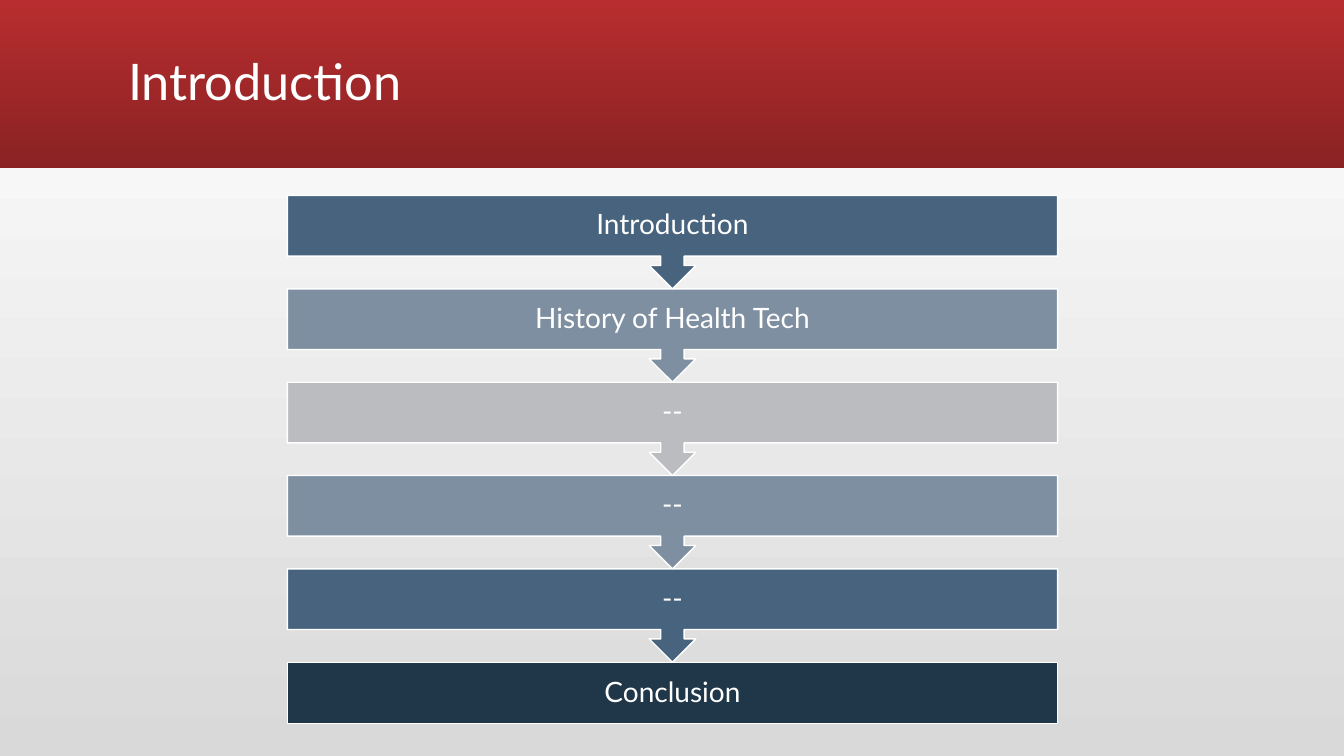
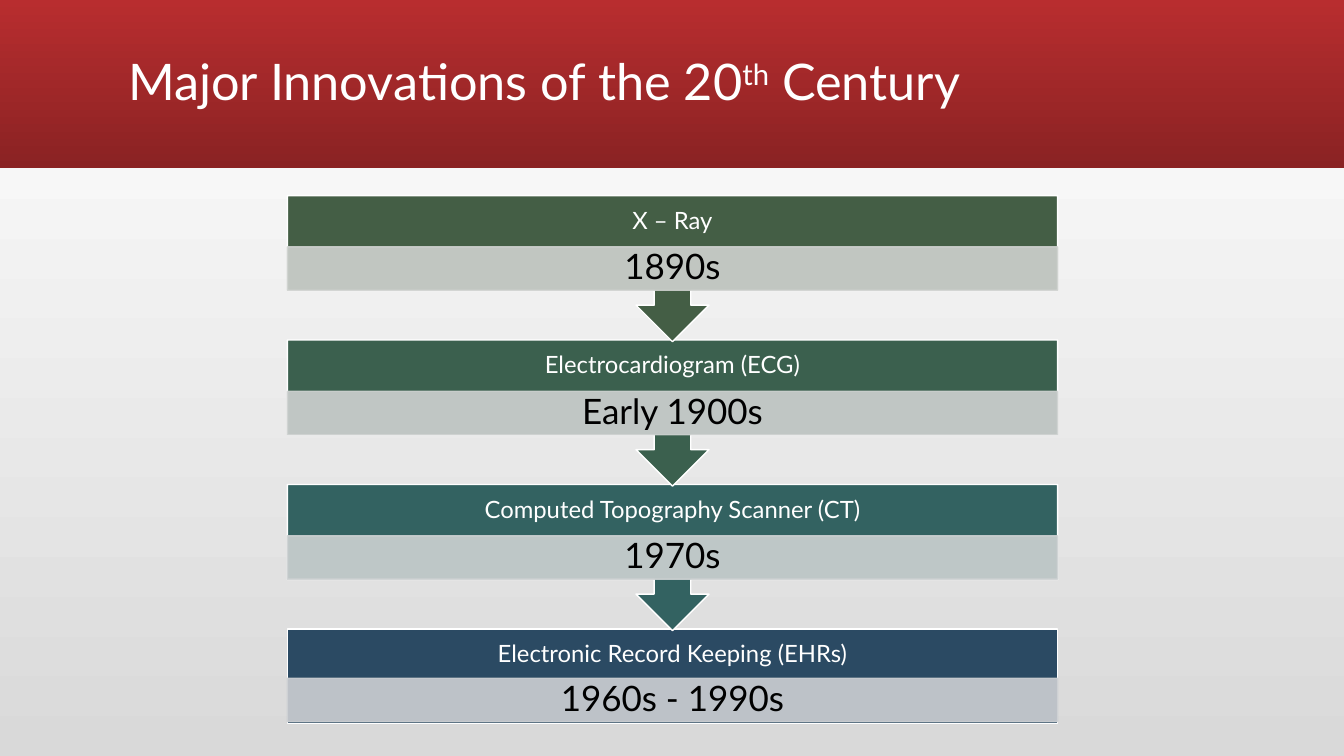
from dataclasses import dataclass

from lxml.etree import SubElement
from pptx import Presentation
from pptx.dml.color import RGBColor
from pptx.enum.shapes import MSO_SHAPE as Preset
from pptx.enum.text import MSO_ANCHOR as Anchor, PP_ALIGN as Align
from pptx.oxml.ns import qn
from pptx.util import Inches, Pt


@dataclass(frozen=True)
class Theme:
    font: str = "Lato"
    light: str = "FFFFFF"
    dark: str = "000000"
    background: tuple = ("D9D9D9", "FFFFFF")
    band: tuple = ("B82D2F", "8A2223")
    navy: str = "203749"
    blue: str = "47637D"
    slate: str = "7E8FA1"
    silver: str = "BABCBF"
    title_size: int = 36
    step_size: int = 20
    invention_size: int = 17
    year_size: int = 25
    strip_alpha: int = 90


theme = Theme()

FLOW_LEFT, FLOW_WIDTH = 2.85, 7.64
FLOW_TOP, FLOW_BOTTOM = 1.94, 7.18
STRIP_HEIGHT = 0.43


def write(shape, runs, size, color, align=Align.CENTER):
    """Fill the first paragraph with (text, is_superscript) runs."""
    paragraph = shape.text_frame.paragraphs[0]
    paragraph.alignment = align
    paragraph.line_spacing = 0.9
    for text, is_superscript in runs:
        run = paragraph.add_run()
        run.text = text
        run.font.name = theme.font
        run.font.size = Pt(size)
        run.font.color.rgb = RGBColor.from_string(color)
        if is_superscript:
            run._r.get_or_add_rPr().set("baseline", "30000")


def add_block(shapes, preset, top, height, fill, line, label, size, color, bottom_inset=0):
    """Add a flow-wide shape carrying one centred label."""
    block = shapes.add_shape(preset, Inches(FLOW_LEFT), Inches(top),
                             Inches(FLOW_WIDTH), Inches(height))
    block.shadow.inherit = False
    block.fill.solid()
    block.fill.fore_color.rgb = RGBColor.from_string(fill)
    block.line.color.rgb = RGBColor.from_string(line)
    block.line.width = Pt(1)
    frame = block.text_frame
    frame.word_wrap = True
    frame.vertical_anchor = Anchor.MIDDLE
    frame.margin_top = 0
    frame.margin_bottom = Inches(bottom_inset)
    write(block, [(label, False)], size, color)
    return block


presentation = Presentation()
presentation.slide_width = Inches(13.33)
presentation.slide_height = Inches(7.5)

# Shared look: background on the master, band and title place on the layout
layout = presentation.slide_layouts.get_by_name("Title Only")
layout_title = layout.placeholders[0]
layout_title.left, layout_title.top = Inches(1.17), Inches(0.11)
layout_title.width, layout_title.height = Inches(11), Inches(1.45)
layout_title.text_frame.vertical_anchor = Anchor.MIDDLE

titles = [
    [("Introduction", False)],
    [("Major Innovations of the 20", False), ("th", True), (" Century", False)],
]
slides = []
for title_runs in titles:
    slide = presentation.slides.add_slide(layout)
    write(slide.shapes.title, title_runs, theme.title_size, theme.light, Align.LEFT)
    slides.append(slide)
agenda_slide, innovations_slide = slides

band = agenda_slide.shapes.add_shape(Preset.RECTANGLE, 0, 0,
                                     presentation.slide_width, Inches(1.67))
band.shadow.inherit = False
band.line.fill.background()
layout.shapes.element.insert(2, band.element)

background_fill = presentation.slide_master.background.fill
for fill, colors, angle in ((background_fill, theme.background, 90),
                            (band.fill, theme.band, 270)):
    fill.gradient()
    fill.gradient_angle = angle
    for stop, color in zip(fill.gradient_stops, colors):
        stop.color.rgb = RGBColor.from_string(color)

# Agenda: the last step is a plain box, the others point to the next one
agenda = [
    ("Introduction", theme.blue),
    ("History of Health Tech", theme.slate),
    ("--", theme.silver),
    ("--", theme.slate),
    ("--", theme.blue),
    ("Conclusion", theme.navy),
]
box_height = 0.61
pitch = (FLOW_BOTTOM - box_height - FLOW_TOP) / (len(agenda) - 1)
agenda_flow = agenda_slide.shapes.add_group_shape()
for index, (label, fill) in reversed(list(enumerate(agenda))):
    is_last = index == len(agenda) - 1
    add_block(agenda_flow.shapes,
              Preset.RECTANGLE if is_last else Preset.DOWN_ARROW_CALLOUT,
              FLOW_TOP + index * pitch, box_height if is_last else pitch,
              fill, theme.light, label, theme.step_size, theme.light)

# Innovations: each step also holds a translucent strip with its years
innovations = [
    ("X – Ray", "1890s", "445E45", "CFD2CF"),
    ("Electrocardiogram (ECG)", "Early 1900s", "3B604E", "CFD2D1"),
    ("Computed Topography Scanner (CT)", "1970s", "336261", "CED2D3"),
    ("Electronic Record Keeping (EHRs)", "1960s - 1990s", "2B4A63", "CDD0D3"),
]
box_height, callout_height = 0.94, 1.45
pitch = (FLOW_BOTTOM - box_height - FLOW_TOP) / (len(innovations) - 1)
innovation_flow = innovations_slide.shapes.add_group_shape()
for index, (label, years, fill, tint) in reversed(list(enumerate(innovations))):
    is_last = index == len(innovations) - 1
    top = FLOW_TOP + index * pitch
    add_block(innovation_flow.shapes,
              Preset.RECTANGLE if is_last else Preset.DOWN_ARROW_CALLOUT,
              top, box_height if is_last else callout_height,
              fill, theme.light, label, theme.invention_size, theme.light, STRIP_HEIGHT)
    strip = add_block(innovation_flow.shapes, Preset.RECTANGLE,
                      top + (0.49 if is_last else 0.51), STRIP_HEIGHT,
                      tint, tint, years, theme.year_size, theme.dark)
    for color in strip.element.spPr.iter(qn("a:srgbClr")):
        SubElement(color, qn("a:alpha")).set("val", str(theme.strip_alpha * 1000))

presentation.save("out.pptx")
